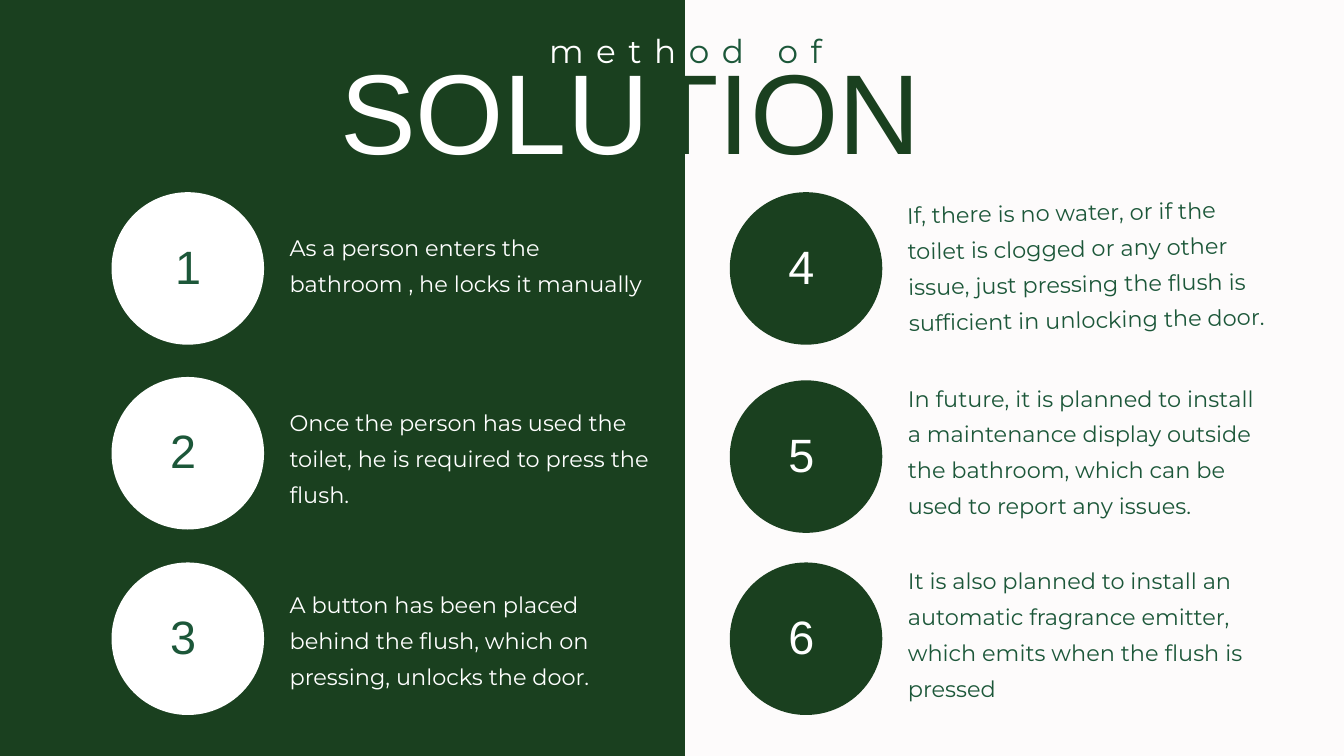
from pptx import Presentation
from pptx.dml.color import RGBColor
from pptx.enum.shapes import MSO_SHAPE as Shape
from pptx.enum.text import PP_ALIGN as Align
from pptx.util import Inches, Pt

COLORS = {
    "paper": "FDFBFB",
    "forest": "1A401F",
    "pine": "1C5739",
    "white": "FFFFFF",
}
CIRCLE_SIZE = 2.27
STEP_WIDTH = 5.37
COLUMNS = [
    {"circle": 1.66, "text": 4.31, "fill": "white", "number": "pine", "ink": "white"},
    {"circle": 10.86, "text": 13.51, "fill": "forest", "number": "white", "ink": "pine"},
]
STEPS = [
    [
        (2.86, 3.35, 1.03, "As a person enters the bathroom , he locks it manually"),
        (5.61, 5.96, 1.56, "Once the person has used the toilet, he is required to press the flush."),
        (8.37, 8.67, 1.56, "A button has been placed behind the flush, which on pressing, unlocks the door."),
    ],
    [
        (2.86, 2.82, 2.1, "If, there is no water, or if the toilet is clogged or any other issue, "
                          "just pressing the flush is sufficient in unlocking the door."),
        (5.66, 5.59, 2.1, "In future, it is planned to install a maintenance display outside the bathroom, "
                          "which can be used to report any issues."),
        (8.37, 8.31, 2.1, "It is also planned to install an automatic fragrance emitter, "
                          "which emits when the flush is pressed"),
    ],
]


class SlideBuilder:
    heading_font = "Arial"
    body_font = "Montserrat"

    def __init__(self, page):
        self.page = page

    def color(self, name):
        return RGBColor.from_string(COLORS[name])

    def background(self, color):
        fill = self.page.background.fill
        fill.solid()
        fill.fore_color.rgb = self.color(color)

    def shape(self, kind, left, top, width, height, color):
        shape = self.page.shapes.add_shape(
            kind, Inches(left), Inches(top), Inches(width), Inches(height))
        shape.shadow.inherit = False
        shape.fill.solid()
        shape.fill.fore_color.rgb = self.color(color)
        shape.line.fill.background()

    def text(self, left, top, width, height, parts, font, size, leading,
             align=Align.LEFT, rotation=0, tracking=0):
        box = self.page.shapes.add_textbox(
            Inches(left), Inches(top), Inches(width), Inches(height))
        box.rotation = rotation
        frame = box.text_frame
        frame.word_wrap = True
        frame.margin_left = frame.margin_top = frame.margin_right = frame.margin_bottom = 0
        para = frame.paragraphs[0]
        para.alignment = align
        para.line_spacing = Pt(leading)
        para.font.name = font
        para.font.size = Pt(size)
        for content, color in parts:
            span = para.add_run()
            span.text = content
            span.font.color.rgb = self.color(color)
            if tracking:
                span.font._element.set("spc", str(round(tracking * 100)))

    def number(self, left, top, label, color, align=Align.LEFT):
        self.text(left, top, 2.42, 0.74, [(label, color)],
                  self.heading_font, 50.1, 50.1, align)

    def step_text(self, left, top, height, content, color, rotation=0):
        self.text(left, top, STEP_WIDTH, height, [(content, color)],
                  self.body_font, 24, 38.4, rotation=rotation)


def main():
    deck = Presentation()
    deck.slide_width, deck.slide_height = Inches(20), Inches(11.25)
    builder = SlideBuilder(deck.slides.add_slide(deck.slide_layouts[6]))
    builder.background("paper")
    builder.shape(Shape.RECTANGLE, 0, 0, 10.19, 11.25, "forest")

    builder.text(5.06, 0.94, 13.08, 1.79, [("SOLU", "white"), ("TION", "forest")],
                 builder.heading_font, 121.7, 121.7)
    builder.text(8.17, 0.26, 11.83, 0.72, [("meth", "white"), ("od of", "pine")],
                 builder.body_font, 35, 56, tracking=13.4)

    label = 0
    for column, steps in zip(COLUMNS, STEPS):
        for circle_top, text_top, height, content in steps:
            label += 1
            builder.shape(Shape.OVAL, column["circle"], circle_top,
                          CIRCLE_SIZE, CIRCLE_SIZE, column["fill"])
            first = label == 1
            builder.number(column["circle"] + (-0.07 if first else 0.87), circle_top + 0.81,
                           str(label), column["number"], Align.CENTER if first else Align.LEFT)
            builder.step_text(column["text"], text_top, height, content, column["ink"],
                              rotation=359 if label == 4 else 0)

    deck.save("out.pptx")


if __name__ == "__main__":
    main()
